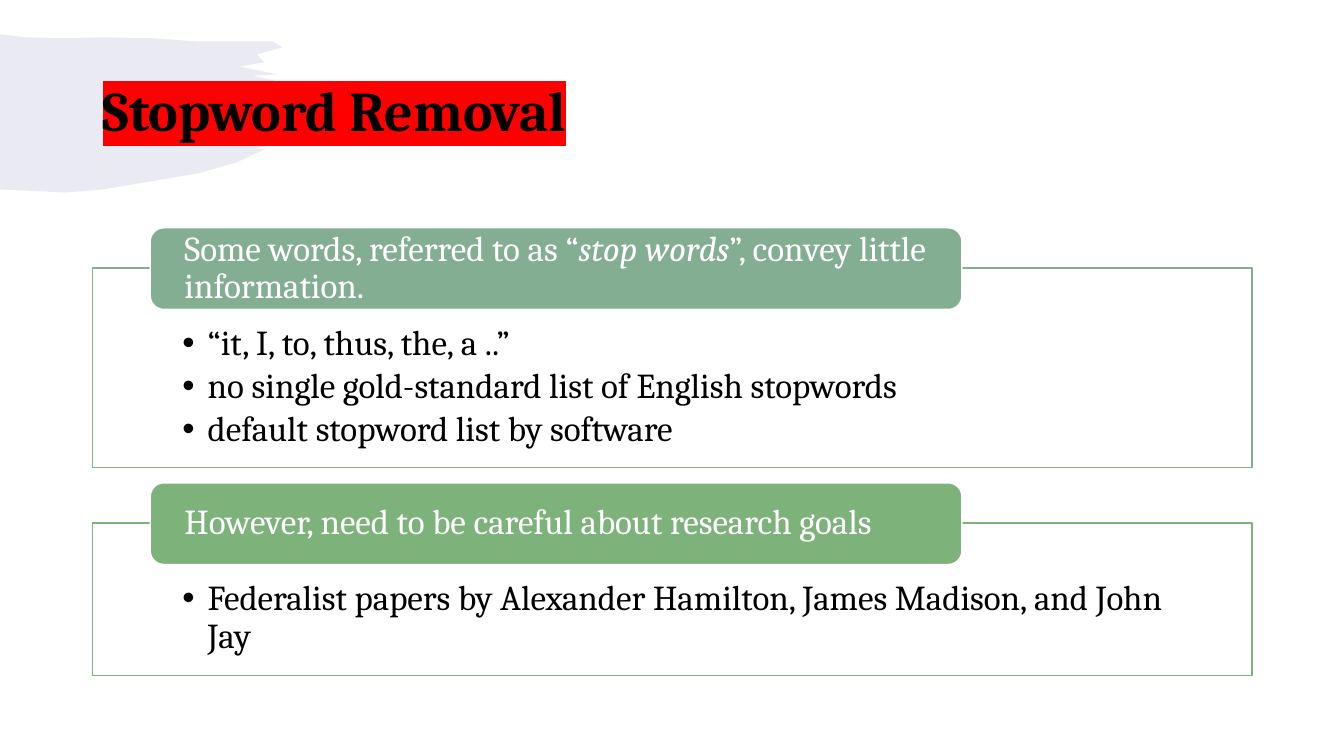
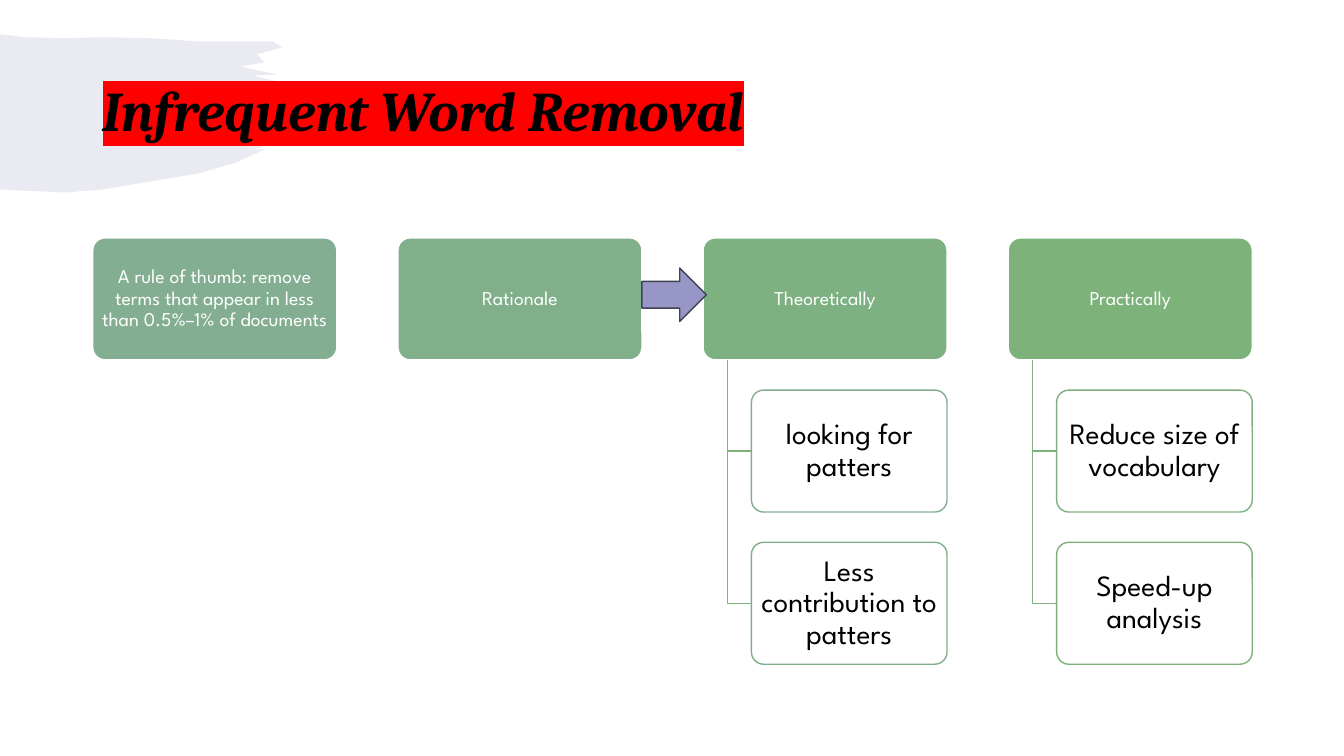
from lxml.etree import SubElement
from pptx import Presentation
from pptx.dml.color import RGBColor
from pptx.enum.shapes import MSO_SHAPE as Preset
from pptx.enum.text import MSO_ANCHOR as Anchor, PP_ALIGN as Align
from pptx.oxml.ns import qn
from pptx.util import Inches, Pt

COLORS = {
    "black": "000000", "white": "FFFFFF", "highlight": "FF0000",
    "lavender": "9796C6", "arrow line": "424257", "sage": "83AE92",
    "fern": "80AF8A", "leaf": "7DB181", "green": "7DB27A",
}
SERIF, SANS = "Cambria", "League Spartan"
LEFT, WIDTH = 0.92, 11.5

BRUSH_OUTLINE = [
    (0, 0), (0.25, 0.03), (0.66, 0.04), (1.02, 0.03), (1.51, 0.04),
    (1.94, 0.07), (2.48, 0.07), (2.7, 0.07), (2.8, 0.13), (2.55, 0.2),
    (2.62, 0.28), (2.38, 0.32), (2.75, 0.4), (2.51, 0.41), (2.8, 0.48),
    (3.3, 0.6), (2.8, 0.86), (2.73, 1.08), (2.52, 1.14), (2.63, 1.14),
    (2.35, 1.27), (1.97, 1.38), (1.02, 1.54), (0.65, 1.57), (0, 1.54),
]


def rgb(name):
    return RGBColor.from_string(COLORS[name])


def apply(target, values):
    for name, value in values.items():
        setattr(target, name, value)


def paint(shape, fill=None, line=None):
    shape.shadow.inherit = False
    if fill:
        shape.fill.solid()
        shape.fill.fore_color.rgb = rgb(fill)
    else:
        shape.fill.background()
    if line:
        shape.line.color.rgb = rgb(line)
        shape.line.width = Pt(1)
    else:
        shape.line.fill.background()


def add_box(slide, preset, box, fill, line, radius=None):
    shape = slide.shapes.add_shape(preset, *map(Inches, box))
    paint(shape, fill, line)
    if radius:
        shape.adjustments[0] = radius
    return shape


def add_path(slide, points, closed):
    points = [(Inches(x), Inches(y)) for x, y in points]
    builder = slide.shapes.build_freeform(*points[0])
    builder.add_line_segments(points[1:], close=closed)
    return builder.convert_to_shape()


def set_frame(frame, margins, anchor):
    left, top, right, bottom = map(Inches, margins)
    apply(frame, {
        "word_wrap": True, "vertical_anchor": anchor, "margin_left": left,
        "margin_top": top, "margin_right": right, "margin_bottom": bottom,
    })


def add_bullet(paragraph):
    properties = paragraph._p.get_or_add_pPr()
    properties.set("marL", str(Inches(0.25)))
    properties.set("indent", str(-Inches(0.25)))
    SubElement(properties, qn("a:buFont")).set("typeface", "Arial")
    SubElement(properties, qn("a:buChar")).set("char", "•")


def write(paragraph, runs, font, size, color, align=Align.LEFT):
    apply(paragraph, {"alignment": align, "line_spacing": 0.9})
    for text, style in runs:
        run = paragraph.add_run()
        run.text = text
        run.font.color.rgb = rgb(color)
        apply(run.font, {"name": font, "size": Pt(size), **style})


def draw_brush(slide, left, top):
    brush = add_path(slide, [(left + x, top + y) for x, y in BRUSH_OUTLINE], True)
    paint(brush, "lavender")
    color = brush.fill._xPr.find(qn("a:solidFill"))[0]
    SubElement(color, qn("a:alpha")).set("val", "20000")


def draw_title(slide, text, style, box):
    frame = slide.shapes.add_textbox(*map(Inches, box)).text_frame
    set_frame(frame, (0.1, 0.05, 0.1, 0.05), Anchor.MIDDLE)
    paragraph = frame.paragraphs[0]
    write(paragraph, [(text, {"bold": True, **style})], SERIF, 40, "black")
    properties = paragraph.runs[0]._r.get_or_add_rPr()
    highlight = SubElement(properties, qn("a:highlight"))
    SubElement(highlight, qn("a:srgbClr")).set("val", COLORS["highlight"])
    properties.find(qn("a:solidFill")).addnext(highlight)


def start_slide(presentation, title, **style):
    slide = presentation.slides.add_slide(presentation.slide_layouts[6])
    draw_brush(slide, 0, 0.34)
    draw_title(slide, title, style, (LEFT, 0.4, WIDTH, 1.45))
    return slide


def draw_panel(slide, box, color, heading, bullets):
    left, top, width, height = box
    frame = add_box(slide, Preset.RECTANGLE, box, "white", color).text_frame
    set_frame(frame, (0.89, 0.57, 0.89, 0.19), Anchor.TOP)
    for index, text in enumerate(bullets):
        paragraph = frame.add_paragraph() if index else frame.paragraphs[0]
        add_bullet(paragraph)
        write(paragraph, [(text, {})], SERIF, 25, "black")
        paragraph.space_after = Pt(3.75)
    tab_box = (left + 0.57, top - 0.4, width * 0.7, 0.81)
    tab = add_box(slide, Preset.ROUNDED_RECTANGLE, tab_box, color, "white")
    set_frame(tab.text_frame, (0.3, 0, 0.3, 0), Anchor.MIDDLE)
    write(tab.text_frame.paragraphs[0], heading, SERIF, 25, "white")


def draw_card(slide, box, text, fill, line, color, size, margins):
    card = add_box(slide, Preset.ROUNDED_RECTANGLE, box, fill, line, 0.1)
    set_frame(card.text_frame, margins, Anchor.MIDDLE)
    write(card.text_frame.paragraphs[0], [(text, {})], SANS, size, color, Align.CENTER)


def draw_branch(slide, box, color, heading, children):
    left, top, width, height = box
    draw_card(slide, box, heading, color, "white", "white", 14, (0.03, 0.02, 0.03, 0.02))
    indent, gap = 0.48, 0.3
    for row, (text, line) in enumerate(children, 1):
        child_top = top + row * (height + gap)
        stem, middle = left + indent / 2, child_top + height / 2
        elbow = add_path(slide, [(stem, top + height), (stem, middle),
                                 (left + indent, middle)], False)
        paint(elbow, line="green")
        child_box = (left + indent, child_top, width - indent, height)
        draw_card(slide, child_box, text, "white", line, "black", 21,
                  (0.04, 0.03, 0.04, 0.03))


def build_stopwords(presentation):
    slide = start_slide(presentation, "Stopword Removal")
    draw_panel(slide, (LEFT, 2.66, WIDTH, 1.98), "sage", [
        ("Some words, referred to as “", {}),
        ("stop words", {"italic": True}),
        ("”, convey little information.", {}),
    ], [
        "“it, I, to, thus, the, a ..”",
        "no single gold-standard list of English stopwords",
        "default stopword list by software",
    ])
    draw_panel(slide, (LEFT, 5.19, WIDTH, 1.51), "green", [
        ("However, need to be careful about research goals", {}),
    ], ["Federalist papers by Alexander Hamilton, James Madison, and John Jay"])


def build_infrequent_words(presentation):
    slide = start_slide(presentation, "Infrequent Word Removal", italic=True)
    branches = [
        ("sage", "A rule of thumb: remove terms that appear in less than "
                 "0.5%–1% of documents", []),
        ("fern", "Rationale", []),
        ("leaf", "Theoretically", [("looking for patters", "sage"),
                                   ("Less contribution to patters", "fern")]),
        ("green", "Practically", [("Reduce size of vocabulary", "leaf"),
                                  ("Speed-up analysis", "green")]),
    ]
    width, top, height = 2.42, 2.36, 1.21
    pitch = (WIDTH - width) / (len(branches) - 1)
    for column, branch in enumerate(branches):
        draw_branch(slide, (LEFT + column * pitch, top, width, height), *branch)
    arrow_box = (LEFT + pitch + width, 2.66, 0.64, 0.53)
    add_box(slide, Preset.RIGHT_ARROW, arrow_box, "lavender", "arrow line")


def main():
    presentation = Presentation()
    apply(presentation, {"slide_width": Inches(13.33), "slide_height": Inches(7.5)})
    build_stopwords(presentation)
    build_infrequent_words(presentation)
    presentation.save("out.pptx")


if __name__ == "__main__":
    main()
